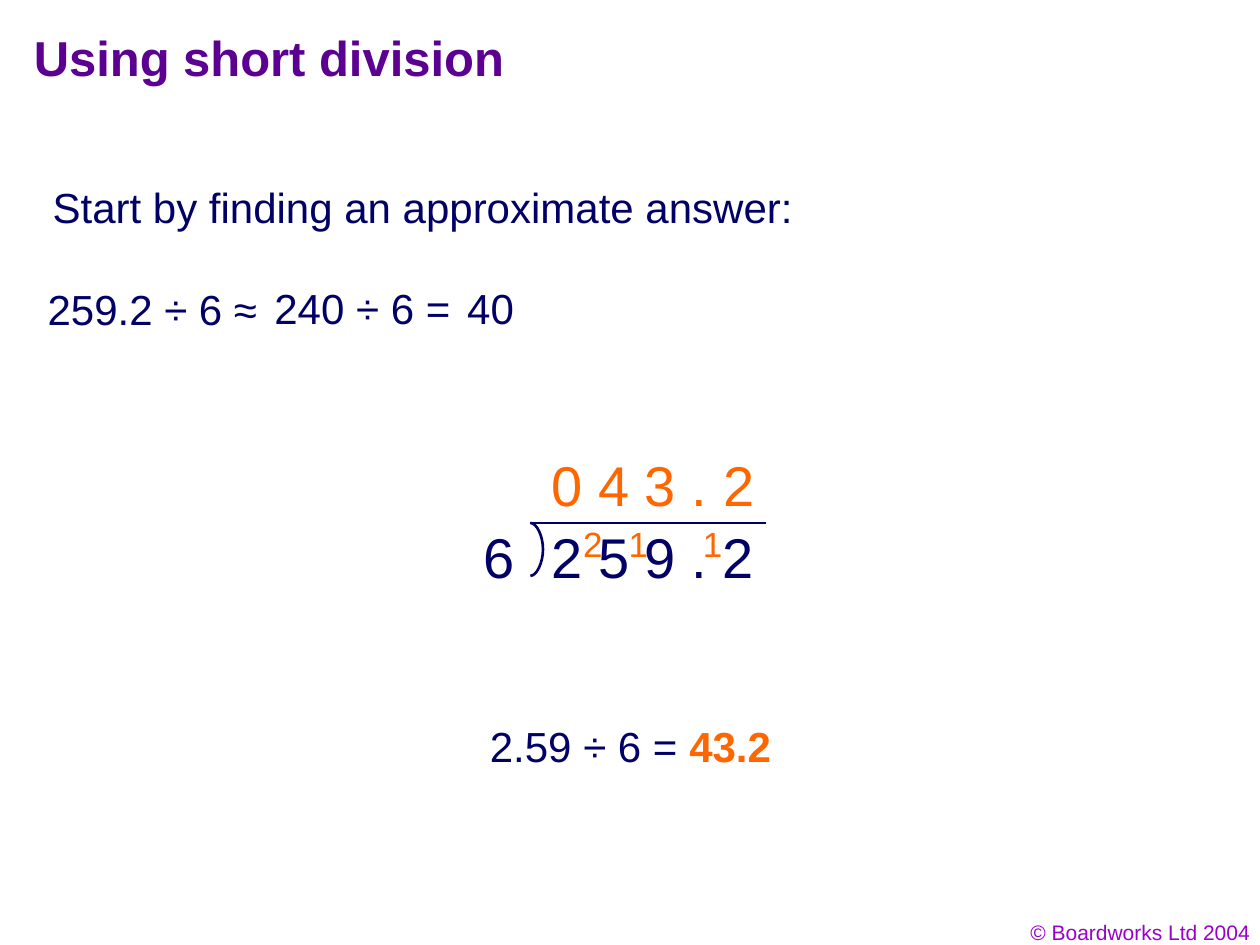
"""Build the short division slide."""
from dataclasses import dataclass
from typing import Any

from lxml import etree
from pptx import Presentation, util as u
from pptx.dml.color import RGBColor
from pptx.enum import shapes, text
from pptx.oxml.ns import qn

PX = 9144


@dataclass(frozen=True)
class Theme:
    font: str = "Arial"
    title: str = "5B0091"
    navy: str = "010066"
    orange: str = "FF6600"
    credit: str = "9900CC"
    head: int = 28
    body: int = 24
    digit: int = 32
    carry: int = 20
    small: int = 12
    line: float = 1.5


@dataclass(frozen=True)
class Mark:
    text: str
    left: int


T = Theme()
ANSWER = [Mark("0", 428), Mark("4", 465), Mark("3", 502), Mark(".", 539), Mark("2", 564)]
CARRIES = [Mark("2", 453), Mark("1", 489), Mark("1", 548)]


def px(n: float) -> u.Emu:
    return u.Emu(round(n * PX))


def write(slide: Any, words: str, left: int, top: int, wide: int, high: int, *,
          size: int = T.body, color: str = T.navy, bold: bool = False,
          wrap: bool = False, right: bool = False, tail: str = "") -> None:
    box = slide.shapes.add_textbox(px(left), px(top), px(wide), px(high))
    frame = box.text_frame
    frame.word_wrap = wrap
    if not wrap:
        frame.auto_size = text.MSO_AUTO_SIZE.SHAPE_TO_FIT_TEXT
    para = frame.paragraphs[0]
    para.alignment = text.PP_ALIGN.RIGHT if right else text.PP_ALIGN.LEFT
    parts = [(words, color, bold)]
    if tail:
        parts.append((tail, T.orange, True))
    for part, tint, heavy in parts:
        run = para.add_run()
        run.text = part
        font = run.font
        font.name, font.size, font.bold = T.font, u.Pt(size), heavy
        font.color.rgb = RGBColor.from_string(tint)


def ink(shape: Any) -> None:
    shape.line.color.rgb = RGBColor.from_string(T.navy)
    shape.line.width = u.Pt(T.line)


def row(slide: Any, marks: list[Mark], top: int, wide: int, high: int, size: int) -> None:
    for mark in marks:
        write(slide, mark.text, mark.left, top, wide, high, size=size, color=T.orange)


def curve(slide: Any, left: int, top: int, wide: int, high: int) -> None:
    pen = slide.shapes.build_freeform(px(left), px(top))
    pen.add_line_segments([(px(left + wide), px(top + high / 2)),
                           (px(left), px(top + high))], close=False)
    arc = pen.convert_to_shape()
    arc.shadow.inherit = False
    arc.fill.background()
    ink(arc)
    w, h = px(wide), px(high)
    bends = [[(w / 2, 0), (w, h / 4), (w, h / 2)],
             [(w, h * 3 / 4), (w / 2, h), (0, h)]]
    track = next(arc.element.iter(qn("a:path")))
    for old, bend in zip(track.findall(qn("a:lnTo")), bends):
        new = etree.Element(qn("a:cubicBezTo"))
        for x, y in bend:
            etree.SubElement(new, qn("a:pt"), x=str(round(x)), y=str(round(y)))
        track.replace(old, new)


def bar(slide: Any, left: int, top: int, end: int) -> None:
    line = slide.shapes.add_connector(
        shapes.MSO_CONNECTOR.STRAIGHT, px(left), px(top), px(end), px(top))
    ink(line)
    etree.SubElement(line.element.spPr, qn("a:effectLst"))


def main() -> None:
    deck = Presentation()
    deck.slide_width, deck.slide_height = px(1000), px(750)
    slide = deck.slides.add_slide(deck.slide_layouts[6])
    write(slide, "© Boardworks Ltd 2004", 769, 725, 233, 30,
          size=T.small, color=T.credit, wrap=True, right=True)
    write(slide, "Using short division", 17, 17, 467, 67,
          size=T.head, color=T.title, bold=True, wrap=True)
    write(slide, "Start by finding an approximate answer:", 32, 139, 607, 50)
    write(slide, "259.2 ÷ 6 ≈", 28, 220, 194, 50)
    write(slide, "240 ÷ 6 =", 208, 219, 160, 50)
    write(slide, "40", 361, 219, 57, 50)
    write(slide, "2 5 9 . 2", 428, 410, 181, 64, size=T.digit)
    curve(slide, 421, 415, 10, 42)
    bar(slide, 421, 415, 608)
    write(slide, "6", 374, 410, 45, 64, size=T.digit)
    row(slide, ANSWER, 353, 45, 64, T.digit)
    row(slide, CARRIES, 410, 35, 44, T.carry)
    write(slide, "2.59 ÷ 6 = ", 379, 567, 243, 50, tail="43.2")
    deck.save("out.pptx")


if __name__ == "__main__":
    main()
